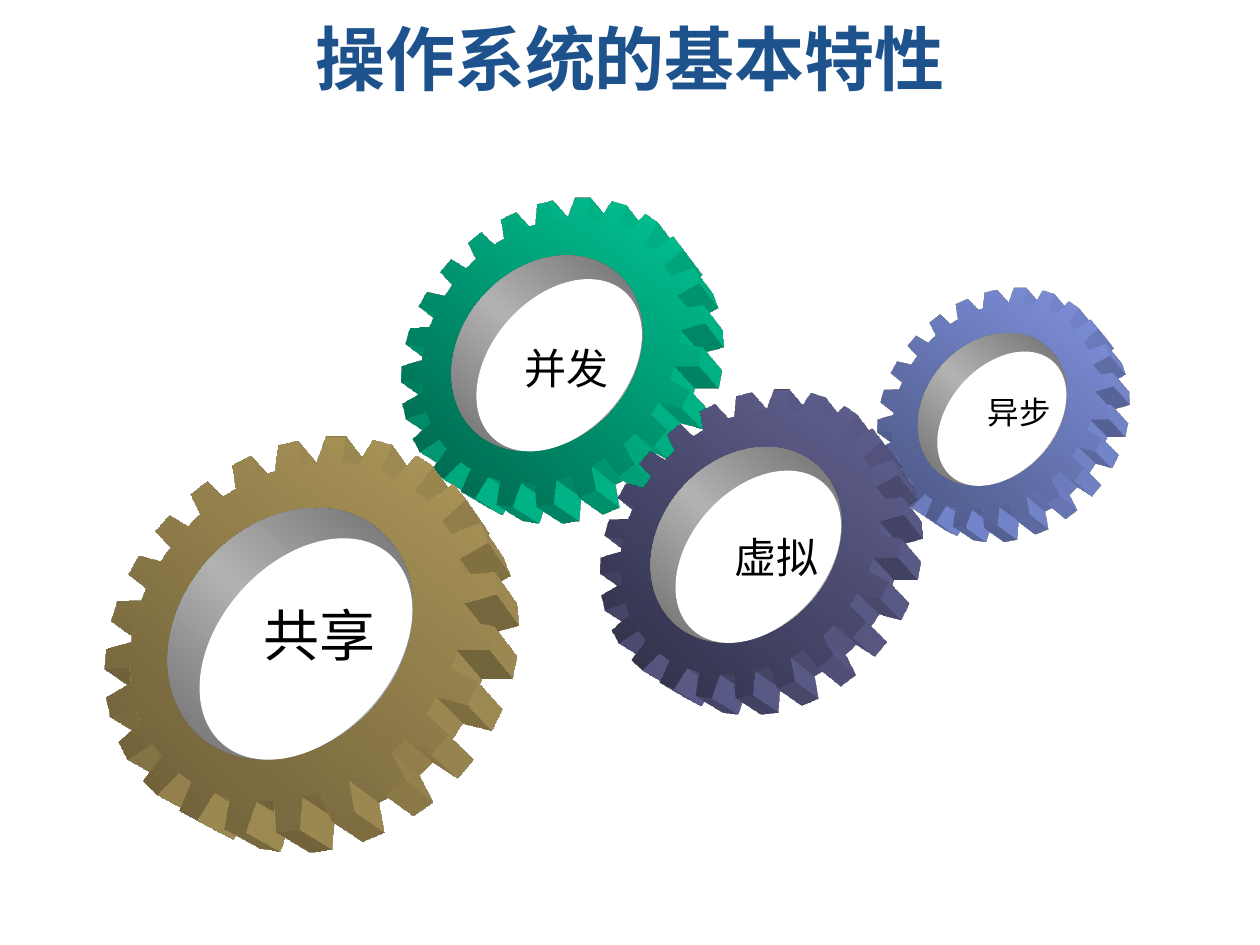
"""Build a slide with four meshing gears naming the basic features of an operating system."""
from copy import deepcopy
from math import cos, radians, sin

from lxml import etree
from pptx import Presentation
from pptx.dml.color import RGBColor
from pptx.enum.shapes import MSO_SHAPE as SHAPE
from pptx.enum.text import MSO_ANCHOR as ANCHOR, MSO_AUTO_SIZE as AUTO_SIZE, PP_ALIGN as ALIGN
from pptx.oxml.ns import qn
from pptx.util import Pt

TITLE_BLUE = RGBColor(0x1D, 0x52, 0x8D)
BLACK = RGBColor(0, 0, 0)
WHITE = RGBColor(0xFF, 0xFF, 0xFF)
GREY_DARK = RGBColor(0x52, 0x52, 0x52)
GREY_LIGHT = RGBColor(0xB2, 0xB2, 0xB2)
GREEN_DARK, GREEN = RGBColor(0, 0x5D, 0x46), RGBColor(0, 0xCC, 0x99)
GOLD_DARK, GOLD = RGBColor(0x67, 0x59, 0x35), RGBColor(0xB2, 0x9B, 0x5C)
BLUE_DARK, BLUE = RGBColor(0x48, 0x52, 0x7D), RGBColor(0x84, 0x97, 0xE6)
VIOLET_DARK, VIOLET = RGBColor(0x2B, 0x2B, 0x41), RGBColor(0x66, 0x66, 0x99)

TEETH = 24
TOOTH_PROFILE = [(-3.2, 1), (3.2, 1), (4.7, 0.857), (7.5, 0.857), (10.3, 0.857)]
TILT = 41.8
DEPTH = 0.178
RIM = (0.25, 0.204, 0.514, 0.638)
HOLE = (0.34, 0.264, 0.407, 0.59)
GEARS = [
    ("并发", 216, 102.24, 190.5, GREEN_DARK, GREEN, (288, 192.24, 72, 36), 24),
    ("共享", 41.76, 234, 244.8, GOLD_DARK, GOLD, (136.08, 339.84, 93.6, 45.36), 32),
    ("异步", 491.76, 156.24, 148.5, BLUE_DARK, BLUE, (550.08, 221.04, 64.8, 28.8), 18),
    ("虚拟", 329.76, 211.68, 190.5, VIOLET_DARK, VIOLET, (402.48, 300.24, 82.8, 36), 24),
]


def paint(part, angle, *colors):
    part.shadow.inherit = False
    part.line.fill.background()
    if len(colors) == 1:
        part.fill.solid()
        part.fill.fore_color.rgb = colors[0]
        return
    part.fill.gradient()
    part.fill.gradient_angle = angle
    stop_list = part._element.spPr.find(qn("a:gradFill")).find(qn("a:gsLst"))
    for _ in colors[2:]:
        stop_list.append(deepcopy(stop_list[-1]))
    for place, (stop, color) in enumerate(zip(part.fill.gradient_stops, colors)):
        stop.position = place / (len(colors) - 1)
        stop.color.rgb = color


def extrude(part, depth, color):
    properties = part._element.spPr
    scene = etree.SubElement(properties, qn("a:scene3d"))
    camera = etree.SubElement(scene, qn("a:camera"), prst="legacyPerspectiveFront")
    etree.SubElement(camera, qn("a:rot"), lat="20100000", lon="1500000", rev="0")
    etree.SubElement(scene, qn("a:lightRig"), rig="legacyFlat3", dir="b")
    solid = etree.SubElement(properties, qn("a:sp3d"), extrusionH=str(Pt(depth)),
                             prstMaterial="legacyMatte")
    side = etree.SubElement(solid, qn("a:extrusionClr"))
    etree.SubElement(side, qn("a:srgbClr"), val=str(color))


deck = Presentation()
deck.slide_width, deck.slide_height = Pt(720), Pt(540)
slide = deck.slides.add_slide(deck.slide_layouts[5])

title = slide.shapes.title
title.left, title.top, title.width, title.height = Pt(36), Pt(12.24), Pt(648), Pt(44.64)
heading = title.text_frame
heading.margin_left = heading.margin_right = heading.margin_bottom = 0
heading.margin_top = Pt(3.6)
heading.vertical_anchor = ANCHOR.BOTTOM
heading.auto_size = AUTO_SIZE.NONE
heading.text = "操作系统的基本特性"
heading_line = heading.paragraphs[0]
heading_line.alignment = ALIGN.CENTER
heading_line.font.name = "DejaVu Sans"
heading_line.font.size = Pt(40)
heading_line.font.bold = True
heading_line.font.color.rgb = TITLE_BLUE

for feature, left, top, size, dark, bright, label_box, label_size in GEARS:
    radius = size / 2
    outline = []
    for tooth in range(TEETH):
        for offset, reach in TOOTH_PROFILE:
            angle = radians(tooth * 360 / TEETH + offset)
            outline.append((Pt(left + radius + radius * reach * cos(angle)),
                            Pt(top + radius + radius * reach * sin(angle))))
    builder = slide.shapes.build_freeform(*outline[0])
    builder.add_line_segments(outline[1:], close=True)
    gear = builder.convert_to_shape()
    paint(gear, 45, dark, bright)
    extrude(gear, size * DEPTH, bright)

    for (x, y, width, height), colors in ((RIM, (GREY_DARK, GREY_LIGHT, GREY_DARK)),
                                          (HOLE, (WHITE,))):
        ring = slide.shapes.add_shape(SHAPE.OVAL, Pt(left + x * size), Pt(top + y * size),
                                      Pt(width * size), Pt(height * size))
        ring.rotation = TILT
        paint(ring, 270, *colors)

    label = slide.shapes.add_textbox(*map(Pt, label_box)).text_frame
    label.word_wrap = True
    label.auto_size = AUTO_SIZE.SHAPE_TO_FIT_TEXT
    label.text = feature
    caption = label.paragraphs[0]
    caption.alignment = ALIGN.CENTER
    caption.font.name = "Arial"
    caption.font.size = Pt(label_size)
    caption.font.color.rgb = BLACK

deck.save("out.pptx")
